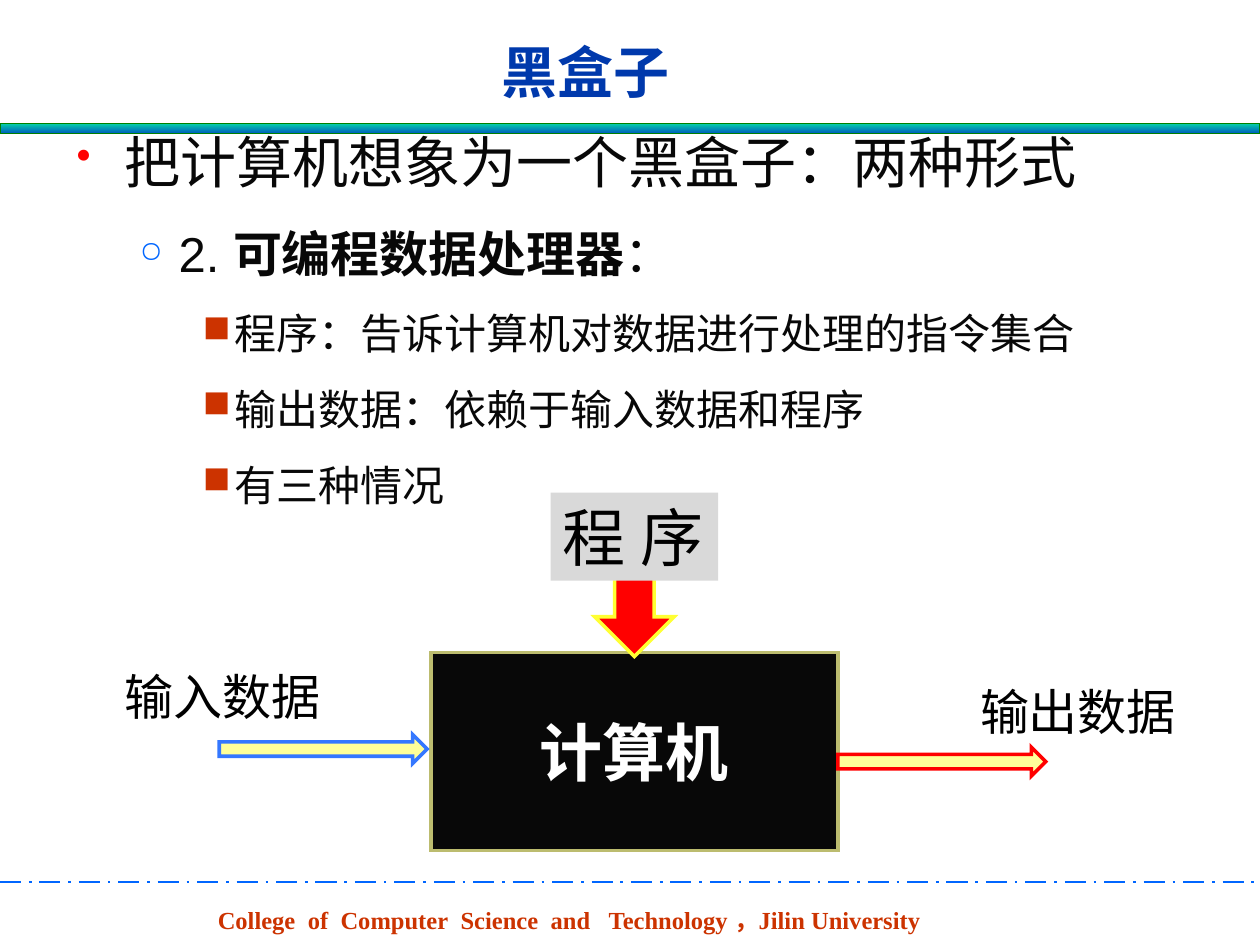
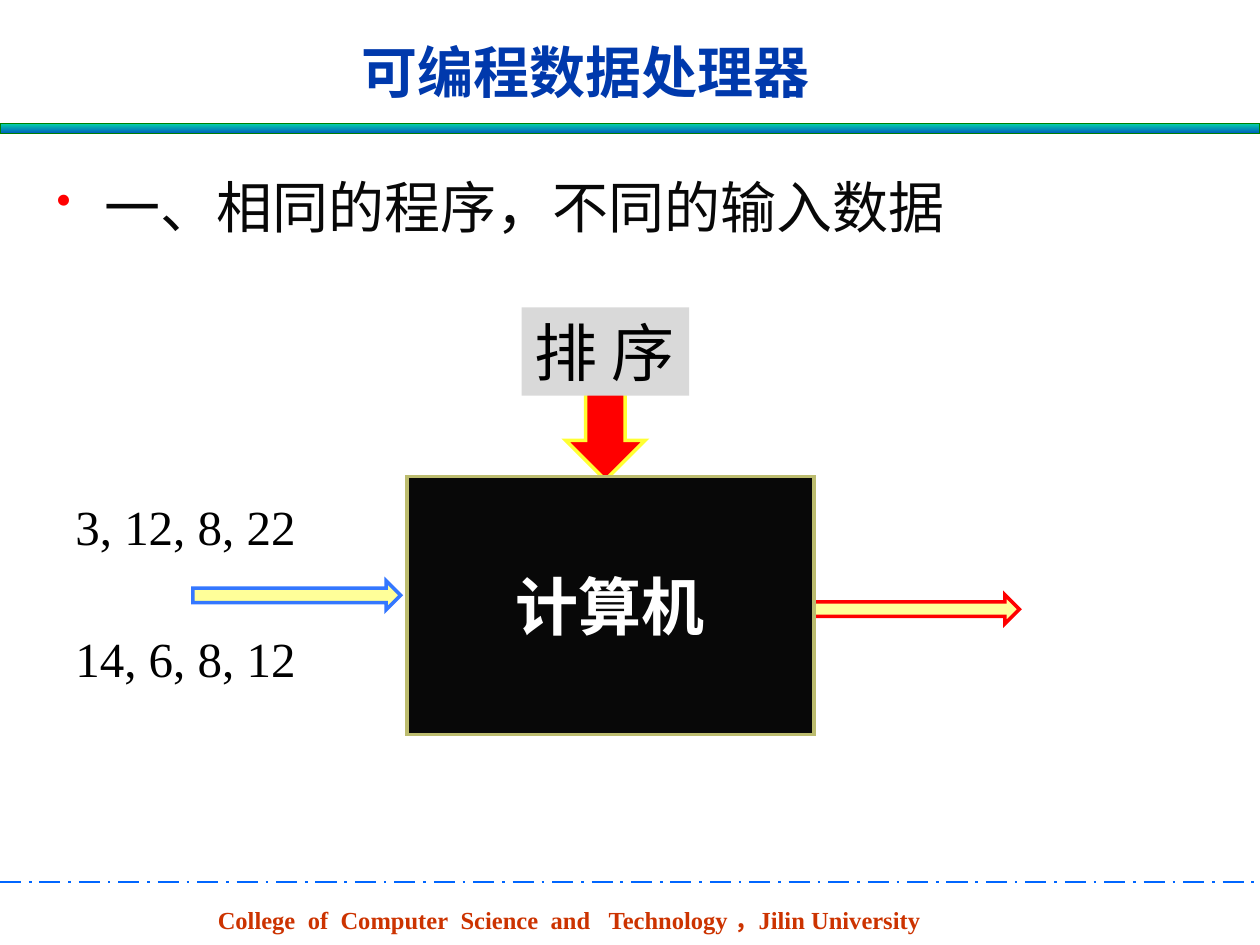
from lxml.etree import SubElement
from pptx import Presentation
from pptx.dml.color import RGBColor
from pptx.enum.dml import MSO_LINE_DASH_STYLE as Dash
from pptx.enum.shapes import MSO_CONNECTOR as Connector, MSO_SHAPE as Shape
from pptx.enum.text import MSO_ANCHOR as Anchor, PP_ALIGN as Align
from pptx.oxml.ns import qn
from pptx.util import Inches, Pt

# Colours
BLACK = RGBColor(0x00, 0x00, 0x00)
WHITE = RGBColor(0xFF, 0xFF, 0xFF)
INK = RGBColor(0x08, 0x08, 0x08)
TITLE_BLUE = RGBColor(0x00, 0x39, 0xAC)
RULE_BLUE = RGBColor(0x00, 0x66, 0xFF)
INPUT_BLUE = RGBColor(0x34, 0x77, 0xFF)
RED = RGBColor(0xFF, 0x00, 0x00)
RUST = RGBColor(0xCC, 0x33, 0x00)
YELLOW = RGBColor(0xFF, 0xFF, 0x33)
PALE_YELLOW = RGBColor(0xFF, 0xFF, 0x99)
OLIVE = RGBColor(0xBC, 0xBC, 0x6F)
GREY = RGBColor(0xD9, 0xD9, 0xD9)
BAND_TOP = RGBColor(0x03, 0xD4, 0xA8)
BAND_BOTTOM = RGBColor(0x00, 0x5C, 0xBF)
BAND_EDGE = RGBColor(0x00, 0x80, 0x00)

# Text formats
CJK = "Noto Sans CJK SC"
TITLE = dict(name=CJK, size=Pt(32), bold=True, color=TITLE_BLUE)
FOOTER = dict(name="Times New Roman", size=Pt(14), bold=True, color=RUST)
LABEL = dict(name="Times New Roman", size=Pt(28), color=BLACK)
PROGRAM = dict(name="Noto Sans CJK JP", size=Pt(36), color=BLACK)
COMPUTER = dict(name="Arial", size=Pt(36), bold=True, color=WHITE)

# Outline levels: text size, left margin, hanging indent, bullet, its colour and percent
LEVELS = [
    (32, 0.38, 0.38, "•", RED, 75),
    (28, 0.81, 0.31, "○", RULE_BLUE, 60),
    (24, 1.25, 0.25, "■", RUST, 90),
]

# Footer words, each with the extra points that widen the space after it
FOOTER_WORDS = [("College", 3.5), ("of", 3.5), ("Computer", 3.5),
                ("Science", 3.5), ("and", 7), ("Technology", 0),
                ("，Jilin", 0), ("University", None)]


def add_run(paragraph, text, formats):
    run = paragraph.add_run()
    run.text = text
    for key, value in formats.items():
        if key == "color":
            run.font.color.rgb = value
        else:
            setattr(run.font, key, value)
    face = formats["name"] if "CJK" in formats["name"] else CJK
    SubElement(run.font._element, qn("a:ea"), typeface=face)
    return run


def add_text(slide, box, text, formats, align=Align.LEFT, anchor=Anchor.TOP, wrap=True):
    frame = slide.shapes.add_textbox(*map(Inches, box)).text_frame
    frame.word_wrap = wrap
    frame.vertical_anchor = anchor
    paragraph = frame.paragraphs[0]
    paragraph.alignment = align
    if text:
        add_run(paragraph, text, formats)
    return frame


def add_block(slide, kind, box, fill=None, edge=None, width=2):
    block = slide.shapes.add_shape(kind, *map(Inches, box))
    block.shadow.inherit = False
    if fill is not None:
        block.fill.solid()
        block.fill.fore_color.rgb = fill
    if edge is None:
        block.line.fill.background()
    else:
        block.line.color.rgb = edge
        block.line.width = Pt(width)
        SubElement(block.line._get_or_add_ln(), qn("a:miter"), lim="800000")
    return block


def write_in(block, text, formats, align, anchor, wrap):
    frame = block.text_frame
    frame.word_wrap = wrap
    frame.vertical_anchor = anchor
    frame.paragraphs[0].alignment = align
    add_run(frame.paragraphs[0], text, formats)


def add_frame(slide, title):
    """Footer, dashed rule, gradient band and title."""
    footer = add_text(slide, (1.63, 7.13, 5.92, 0.34), "", FOOTER)
    for word, extra in FOOTER_WORDS:
        add_run(footer.paragraphs[0], word, FOOTER)
        if extra is not None:
            space = add_run(footer.paragraphs[0], " ", FOOTER)
            space.font._element.set("spc", str(int(extra * 100)))

    rule = slide.shapes.add_connector(
        Connector.STRAIGHT, Inches(0), Inches(7), Inches(10), Inches(7))
    rule.line.color.rgb = RULE_BLUE
    rule.line.width = Pt(1.5)
    rule.line.dash_style = Dash.LONG_DASH_DOT
    SubElement(rule._element.spPr, qn("a:effectLst"))

    band = add_block(slide, Shape.RECTANGLE, (0, 0.98, 10, 0.08), edge=BAND_EDGE, width=0.75)
    band.fill.gradient()
    band.fill.gradient_angle = 270
    for stop, color in zip(band.fill.gradient_stops, (BAND_TOP, BAND_BOTTOM)):
        stop.color.rgb = color

    add_text(slide, (1.38, 0.21, 6.54, 0.71), title, TITLE, Align.CENTER, Anchor.MIDDLE)


def add_bullet(paragraph, level):
    size, margin, hanging, mark, color, percent = LEVELS[level]
    props = paragraph._p.get_or_add_pPr()
    props.set("marL", str(Inches(margin)))
    props.set("indent", str(-Inches(hanging)))
    SubElement(SubElement(props, qn("a:buClr")), qn("a:srgbClr"), val=str(color))
    SubElement(props, qn("a:buSzPct"), val=str(percent * 1000))
    SubElement(props, qn("a:buChar"), char=mark)
    paragraph.level = level
    return dict(name="Arial", size=Pt(size), color=INK)


def add_outline(slide, box, items):
    """Items are (level, line spacing, [(text, bold), ...])."""
    frame = add_text(slide, box, "", {})
    for index, (level, spacing, pieces) in enumerate(items):
        paragraph = frame.add_paragraph() if index else frame.paragraphs[0]
        formats = add_bullet(paragraph, level)
        paragraph.alignment = Align.JUSTIFY
        paragraph.line_spacing = spacing
        for text, bold in pieces:
            add_run(paragraph, text, dict(formats, bold=bold))


def add_computer(slide, left, top, height):
    computer = add_block(slide, Shape.RECTANGLE, (left, top, 3.23, height), INK, OLIVE)
    write_in(computer, "计算机", COMPUTER, Align.CENTER, Anchor.MIDDLE, True)


def add_flow(slide, left, top, edge):
    add_block(slide, Shape.RIGHT_ARROW, (left, top, 1.65, 0.23), PALE_YELLOW, edge)


def add_program(slide, left, top, text, arrow_drop):
    add_block(slide, Shape.DOWN_ARROW, (left + 0.35, top + arrow_drop, 0.63, 0.71), RED, YELLOW)
    program = add_block(slide, Shape.RECTANGLE, (left, top, 1.33, 0.7), GREY)
    write_in(program, text, PROGRAM, Align.LEFT, Anchor.TOP, False)


def build_black_box(slide):
    add_frame(slide, "黑盒子")
    add_outline(slide, (0.51, 0.96, 8.9, 3.22), [
        (0, 1.0, [("把计算机想象为一个黑盒子：两种形式", False)]),
        (1, 1.5, [("2. ", False), ("可编程数据处理器", True), ("：", False)]),
        (2, 1.5, [("程序：告诉计算机对数据进行处理的指令集合", False)]),
        (2, 1.5, [("输出数据：依赖于输入数据和程序", False)]),
        (2, 1.5, [("有三种情况", False)]),
    ])
    add_computer(slide, 3.42, 5.18, 1.57)
    add_flow(slide, 1.74, 5.83, INPUT_BLUE)
    add_text(slide, (0.89, 5.24, 1.75, 0.57), "输入数据", LABEL, wrap=False)
    add_flow(slide, 6.65, 5.93, RED)
    add_text(slide, (7.68, 5.36, 1.75, 0.57), "输出数据", LABEL, wrap=False)
    add_program(slide, 4.37, 3.91, "程 序", 0.59)


def build_same_program(slide):
    add_frame(slide, "可编程数据处理器")
    add_outline(slide, (0.35, 1.05, 7.95, 1.12),
                [(0, 1.5, [("一、相同的程序，不同的输入数据", False)])])
    add_flow(slide, 1.53, 4.61, INPUT_BLUE)
    add_flow(slide, 6.44, 4.72, RED)
    add_program(slide, 4.14, 2.44, "排 序", 0.66)
    for top, numbers in ((3.89, "3, 12, 8, 22"), (4.94, "14, 6, 8, 12")):
        add_text(slide, (0.5, top, 2.07, 0.57), numbers, LABEL)
    add_computer(slide, 3.23, 3.78, 2.05)


def main():
    deck = Presentation()
    deck.slide_width, deck.slide_height = Inches(10), Inches(7.5)
    for build in (build_black_box, build_same_program):
        build(deck.slides.add_slide(deck.slide_layouts[6]))
    deck.save("out.pptx")


if __name__ == "__main__":
    main()
